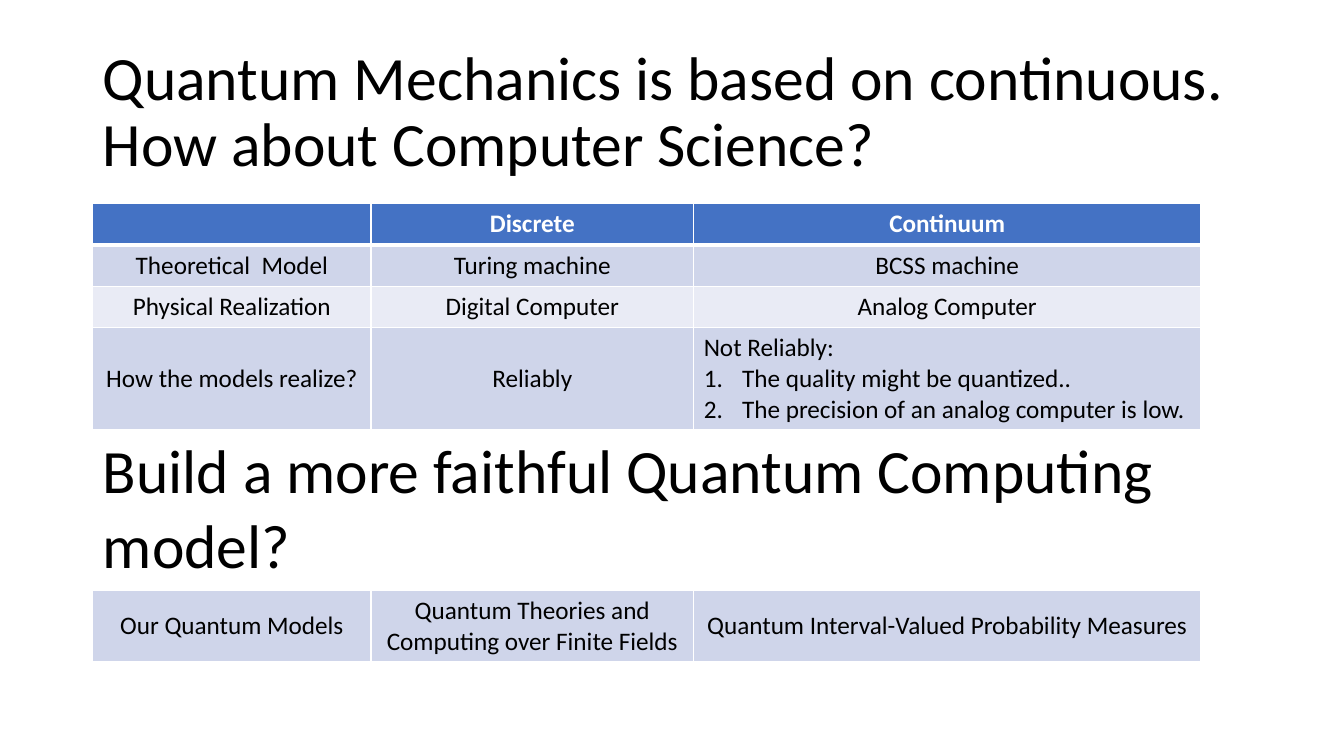
import pptx
import pptx.util
import pptx.dml.color
import pptx.enum.text
import lxml.etree
import pptx.oxml.ns

Inches, Pt = pptx.util.Inches, pptx.util.Pt
Align, Anchor = pptx.enum.text.PP_ALIGN, pptx.enum.text.MSO_ANCHOR
COLORS = {"text": "000000", "white": "FFFFFF", "header": "4472C4",
          "dark_band": "CFD5EA", "light_band": "E9EBF5"}
FONT, HEADING_SIZE, BODY_SIZE = "Calibri", 44, 18

TITLE = "Quantum Mechanics is based on continuous.\vHow about Computer Science?"
COLUMN_WIDTHS = [2.76, 3.2, 5.03]
ROWS = [  # height, fill, cell texts
    (0.41, "header", ["", "Discrete", "Continuum"]),
    (0.41, "dark_band", ["Theoretical  Model", "Turing machine", "BCSS machine"]),
    (0.41, "light_band", ["Physical Realization", "Digital Computer", "Analog Computer"]),
    (1.01, "dark_band", ["How the models realize?", "Reliably",
                         ["Not Reliably:", "The quality might be quantized..",
                          "The precision of an analog computer is low."]]),
    (1.6, "white", ["Build a more faithful Quantum Computing model?"]),
    (0.7, "dark_band", ["Our Quantum Models",
                        "Quantum Theories and Computing over Finite Fields",
                        "Quantum Interval-Valued Probability Measures"]),
]


def rgb(color):
    return pptx.dml.color.RGBColor.from_string(COLORS[color])


def add_xml(parent, tag, **attributes):
    return lxml.etree.SubElement(parent, pptx.oxml.ns.qn(tag), attributes)


class SlideBuilder:
    def __init__(self, slide):
        self.slide = slide

    def style(self, paragraph, size, color="text", bold=False):
        font = paragraph.font
        font.name, font.size, font.bold = FONT, Pt(size), bold
        font.color.rgb = rgb(color)

    def number(self, paragraph):
        """Turn the paragraph into an item of a 1., 2., ... list."""
        properties = paragraph._p.get_or_add_pPr()
        indent = Inches(0.38)
        properties.set("marL", str(indent))
        properties.set("indent", str(-indent))
        add_xml(properties, "a:buFont", typeface="+mj-lt")
        add_xml(properties, "a:buAutoNum", type="arabicPeriod")

    def borders(self, cell, top=1, bottom=1):
        properties = cell._tc.get_or_add_tcPr()
        for side, width in (("L", 1), ("R", 1), ("T", top), ("B", bottom)):
            line = add_xml(properties, f"a:ln{side}", w=str(Pt(width)))
            add_xml(add_xml(line, "a:solidFill"), "a:srgbClr", val=COLORS["white"])

    def title(self, text, left, top, width, height):
        frame = self.slide.shapes.add_textbox(
            Inches(left), Inches(top), Inches(width), Inches(height)).text_frame
        frame.word_wrap = True
        frame.vertical_anchor = Anchor.MIDDLE
        paragraph = frame.paragraphs[0]
        paragraph.text = text
        paragraph.line_spacing = 0.9
        self.style(paragraph, HEADING_SIZE)

    def cell(self, cell, content, fill, row):
        header, heading = fill == "header", fill == "white"
        self.borders(cell, top=3 if row == 1 else 1, bottom=3 if header else 1)
        cell.fill.solid()
        cell.fill.fore_color.rgb = rgb(fill)
        cell.vertical_anchor = Anchor.MIDDLE
        is_list = isinstance(content, list)
        cell.text = "\n".join(content) if is_list else content
        for index, paragraph in enumerate(cell.text_frame.paragraphs):
            if is_list and index:
                self.number(paragraph)
            paragraph.alignment = Align.LEFT if is_list or heading else Align.CENTER
            self.style(paragraph, HEADING_SIZE if heading else BODY_SIZE,
                       "white" if header else "text", header)

    def table(self, rows, column_widths, left, top):
        table = self.slide.shapes.add_table(
            len(rows), len(column_widths), Inches(left), Inches(top),
            Inches(sum(column_widths)), Inches(sum(row[0] for row in rows))).table
        table.first_row = table.horz_banding = False
        for column, width in zip(table.columns, column_widths):
            column.width = Inches(width)
        for row, (height, fill, contents) in enumerate(rows):
            table.rows[row].height = Inches(height)
            if len(contents) == 1:
                table.cell(row, 0).merge(table.cell(row, len(column_widths) - 1))
            for column, content in enumerate(contents):
                self.cell(table.cell(row, column), content, fill, row)


def main():
    presentation = pptx.Presentation()
    presentation.slide_width, presentation.slide_height = Inches(13.33), Inches(7.5)
    builder = SlideBuilder(presentation.slides.add_slide(presentation.slide_layouts[6]))
    builder.title(TITLE, 0.92, 0.4, 11.5, 1.45)
    builder.table(ROWS, COLUMN_WIDTHS, 0.92, 2.02)
    presentation.save("out.pptx")


if __name__ == "__main__":
    main()
